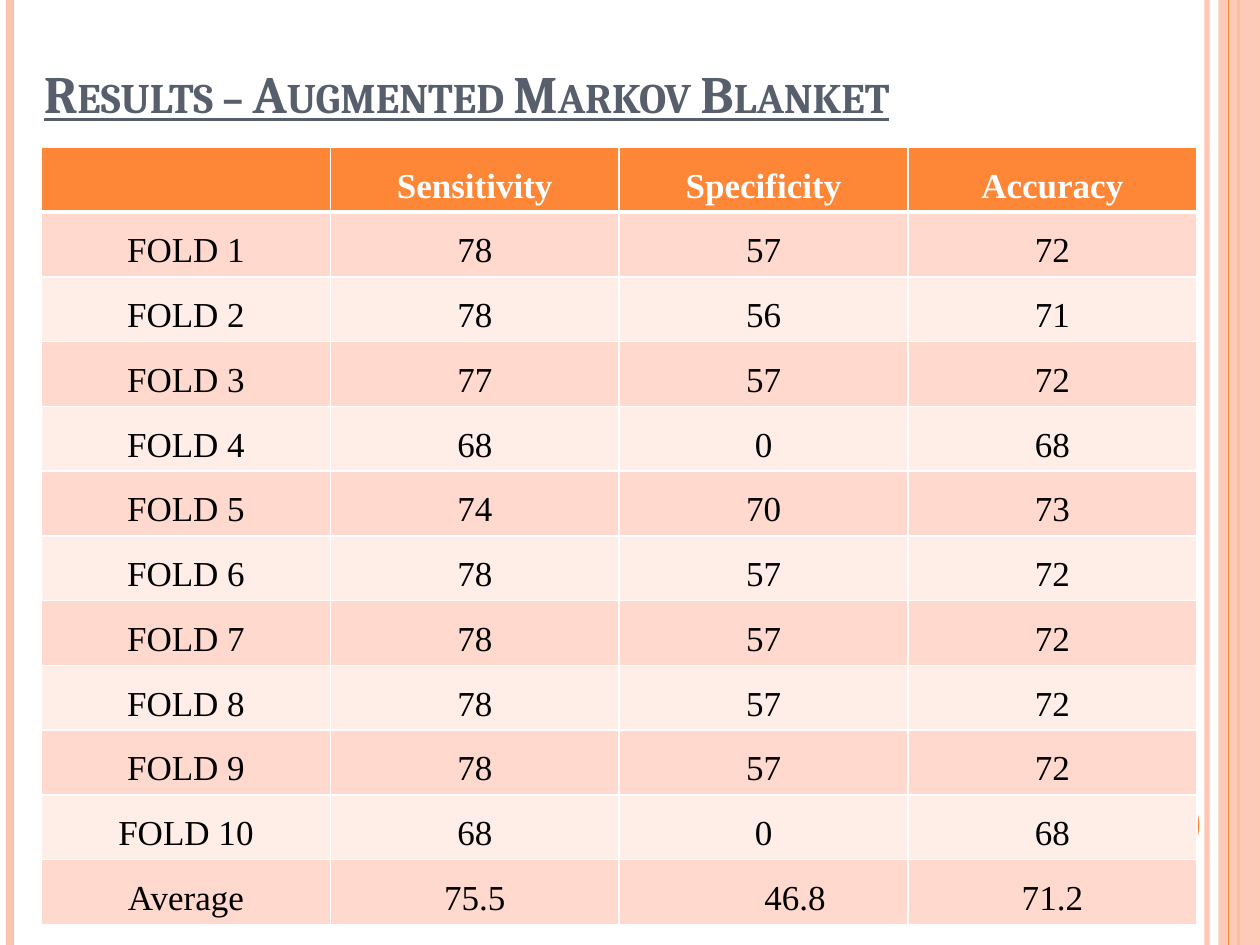
"""Build the results slide for the augmented Markov blanket."""
from lxml import etree
from pptx import Presentation
from pptx.dml.color import RGBColor
from pptx.enum.shapes import MSO_CONNECTOR, MSO_SHAPE
from pptx.enum.text import MSO_ANCHOR, PP_ALIGN
from pptx.oxml.ns import qn
from pptx.util import Inches, Pt

STRAIGHT = MSO_CONNECTOR.STRAIGHT
RECTANGLE, OVAL = MSO_SHAPE.RECTANGLE, MSO_SHAPE.OVAL
CENTER, BOTTOM = PP_ALIGN.CENTER, MSO_ANCHOR.BOTTOM

WIDTH, HEIGHT = 10, 7.5
ORANGE, PEACH, SLATE = "FE8637", "FEC3AE", "575F6D"
WHITE, BLACK = "FFFFFF", "000000"
BANDS = ["FFD9CE", "FFEDE8"]

TITLE = "Results – Augmented Markov Blanket"
HEADERS = ["", "Sensitivity", "Specificity", "Accuracy"]
FOLDS = [
    (78, 57, 72), (78, 56, 71), (77, 57, 72), (68, 0, 68), (74, 70, 73),
    (78, 57, 72), (78, 57, 72), (78, 57, 72), (78, 57, 72), (68, 0, 68),
]
AVERAGES = ["Average", "75.5", "46.8", "71.2"]
AVERAGE_INDENT_COLUMN = 2

BACK_STRIPES = [(9.58, PEACH, 3, 93), (0.08, PEACH, 4.5, 100), (9.83, ORANGE, 1.5, 100)]
FRONT_STRIPES = [(9.75, ORANGE, 0.75, 100)]
TABLE_LEFT, TABLE_TOP, TABLE_WIDTH, TABLE_HEIGHT = 0.33, 1.17, 9.17, 6.17


def color(value):
    return RGBColor.from_string(value)


def set_opacity(element, percent):
    if percent < 100:
        tint = next(element.iter(qn("a:srgbClr")))
        etree.SubElement(tint, qn("a:alpha"), val=str(percent * 1000))


def add_stripe(page, x, tone, width, opacity):
    stripe = page.shapes.add_connector(STRAIGHT, Inches(x), 0, Inches(x), Inches(HEIGHT))
    stripe.line.color.rgb = color(tone)
    stripe.line.width = Pt(width)
    properties = stripe._element.spPr
    set_opacity(properties, opacity)
    etree.SubElement(properties, qn("a:effectLst"))


def add_shape(page, kind, place, tone, opacity=100):
    shape = page.shapes.add_shape(kind, *map(Inches, place))
    shape.shadow.inherit = False
    shape.fill.solid()
    shape.fill.fore_color.rgb = color(tone)
    shape.line.fill.background()
    set_opacity(shape._element.spPr, opacity)


def add_span(para, text, font, size, tone, bold):
    span = para.add_run()
    span.text = text
    span.font.name = font
    span.font.size = Pt(size)
    span.font.bold = bold
    span.font.color.rgb = color(tone)
    return span


def add_title(page):
    box = page.shapes.add_textbox(*map(Inches, (0.25, 0.25, 9, 0.78)))
    box.text_frame.word_wrap = True
    box.text_frame.vertical_anchor = BOTTOM
    span = add_span(box.text_frame.paragraphs[0], TITLE, "Cambria", 30, SLATE, True)
    span.font.underline = True
    span._r.get_or_add_rPr().set("cap", "small")


def set_borders(cell, top, bottom):
    properties = cell._tc.get_or_add_tcPr()
    for side, width in (("L", 1), ("R", 1), ("T", top), ("B", bottom)):
        border = etree.SubElement(properties, qn(f"a:ln{side}"), w=str(Pt(width)))
        fill = etree.SubElement(border, qn("a:solidFill"))
        etree.SubElement(fill, qn("a:srgbClr"), val=WHITE)


def fill_cell(cell, text, row):
    header = row == 0
    set_borders(cell, 3 if row == 1 else 1, 3 if header else 1)
    cell.fill.solid()
    cell.fill.fore_color.rgb = color(ORANGE if header else BANDS[(row - 1) % 2])
    cell.margin_left = cell.margin_right = Inches(0.07)
    cell.margin_top = cell.margin_bottom = 0
    para = cell.text_frame.paragraphs[0]
    para.alignment = CENTER
    para.line_spacing = 1.5
    if text:
        add_span(para, text, "Times New Roman", 20, WHITE if header else BLACK, header)
    return para


def add_results(page):
    folds = [[f"FOLD {number}", *map(str, scores)] for number, scores in enumerate(FOLDS, 1)]
    rows = [HEADERS, *folds, AVERAGES]
    place = map(Inches, (TABLE_LEFT, TABLE_TOP, TABLE_WIDTH, TABLE_HEIGHT))
    table = page.shapes.add_table(len(rows), len(HEADERS), *place).table
    for column in table.columns:
        column.width = Inches(TABLE_WIDTH / len(HEADERS))
    for row, texts in enumerate(rows):
        table.rows[row].height = Inches(TABLE_HEIGHT / len(rows))
        for column, text in enumerate(texts):
            para = fill_cell(table.cell(row, column), text, row)
            if texts is AVERAGES and column == AVERAGE_INDENT_COLUMN:
                properties = para._p.get_or_add_pPr()
                properties.set("marL", "0")
                properties.set("indent", str(Inches(0.5)))


def main():
    deck = Presentation()
    deck.slide_width, deck.slide_height = Inches(WIDTH), Inches(HEIGHT)
    page = deck.slides.add_slide(deck.slide_layouts[6])
    for stripe in BACK_STRIPES:
        add_stripe(page, *stripe)
    add_shape(page, RECTANGLE, (9.67, 0, 0.33, HEIGHT), PEACH, 87)
    for stripe in FRONT_STRIPES:
        add_stripe(page, *stripe)
    add_shape(page, OVAL, (8.92, 6.25, 0.6, 0.6), ORANGE)
    add_title(page)
    add_results(page)
    deck.save("out.pptx")


if __name__ == "__main__":
    main()
